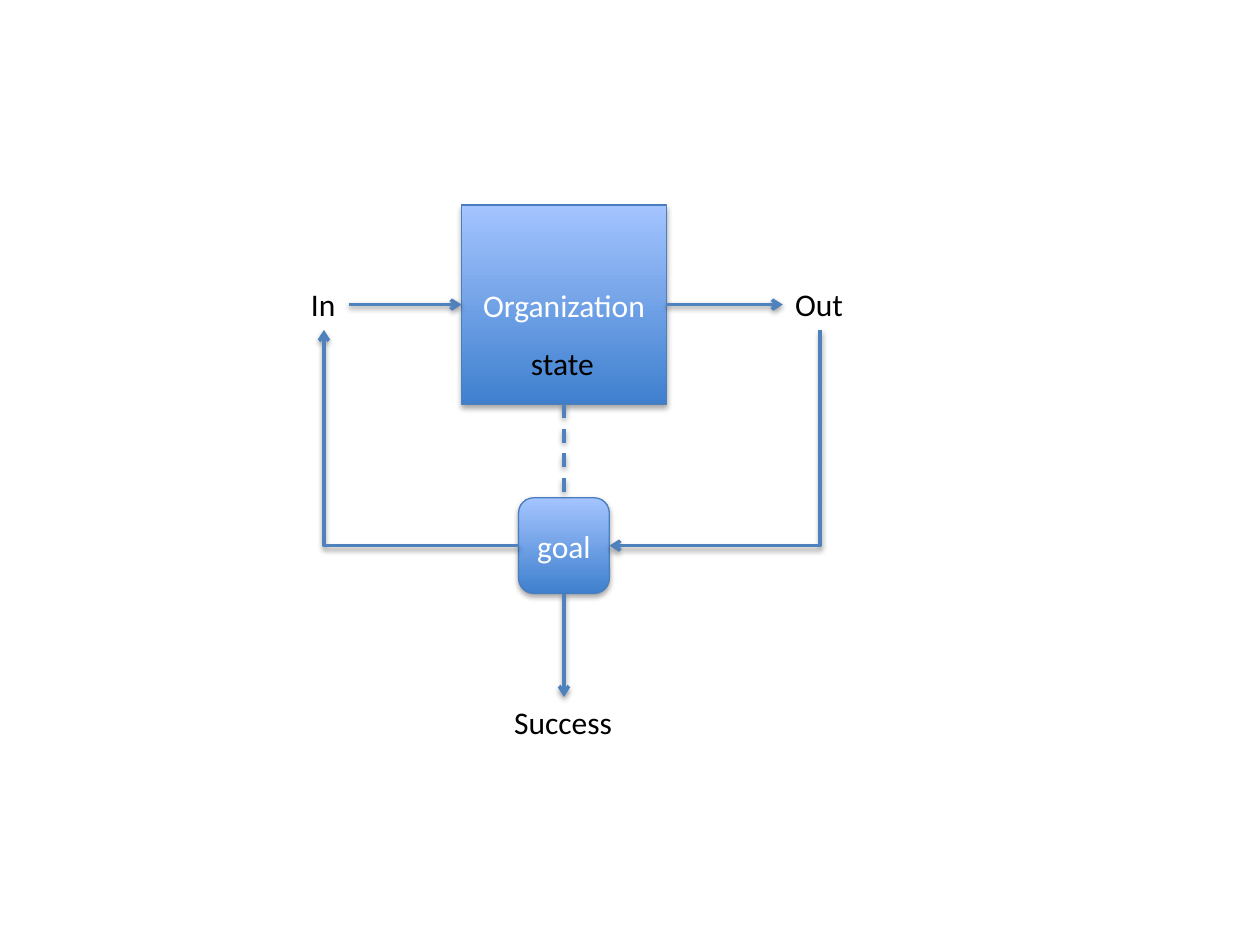
from dataclasses import dataclass
from typing import Optional

from lxml.etree import SubElement
from pptx import Presentation
from pptx.dml.color import RGBColor
from pptx.enum.dml import MSO_LINE
from pptx.enum.shapes import MSO_CONNECTOR, MSO_SHAPE
from pptx.enum.text import MSO_ANCHOR, MSO_AUTO_SIZE, PP_ALIGN
from pptx.oxml.ns import qn
from pptx.util import Cm, Pt


@dataclass(frozen=True)
class Theme:
    """Colours, type and line weights of the slide."""
    font: str = "Calibri"
    size: float = 18
    dark_text: str = "000000"
    light_text: str = "FFFFFF"
    gradient: tuple = ("3F80CE", "A4C4FF")
    outline: str = "4B7EBC"
    outline_width: float = 0.75
    link: str = "4F81BD"
    link_width: float = 2
    shadow: str = "000000"


@dataclass(frozen=True)
class Node:
    """A block or label placed by its centre, in centimetres."""
    text: str
    x: float
    y: float
    width: float
    height: float = 1.02
    shape: Optional[MSO_SHAPE] = None

    @property
    def left(self) -> tuple:
        return self.x - self.width / 2, self.y

    @property
    def right(self) -> tuple:
        return self.x + self.width / 2, self.y

    @property
    def top(self) -> tuple:
        return self.x, self.y - self.height / 2

    @property
    def bottom(self) -> tuple:
        return self.x, self.y + self.height / 2


@dataclass(frozen=True)
class Link:
    """A line between two points; rotation marks a one-corner bend."""
    start: tuple
    end: tuple
    rotation: Optional[int] = None
    dashed: bool = False


THEME = Theme()
AXIS, ROW, GOAL_ROW = 11.37, 6.14, 11.0
ORGANIZATION = Node("Organization", AXIS, ROW, 4.13, 4.01, MSO_SHAPE.RECTANGLE)
GOAL = Node("goal", AXIS, GOAL_ROW, 1.83, 1.93, MSO_SHAPE.ROUNDED_RECTANGLE)
INPUT = Node("In", 6.53, ROW, 1.02)
OUTPUT = Node("Out", 16.53, ROW, 1.5)
STATE = Node("state", AXIS, 7.32, 1.83)
SUCCESS = Node("Success", AXIS, 14.56, 2.51)
NODES = (ORGANIZATION, INPUT, STATE, GOAL, OUTPUT, SUCCESS)
LINKS = (
    Link(INPUT.right, ORGANIZATION.left),
    Link(ORGANIZATION.right, OUTPUT.left),
    Link(OUTPUT.bottom, GOAL.right, rotation=90),
    Link(GOAL.bottom, SUCCESS.top),
    Link(GOAL.left, INPUT.bottom, rotation=180),
    Link(ORGANIZATION.bottom, GOAL.top, dashed=True),
)


def apply(target: object, values: dict) -> None:
    """Set every attribute named in values."""
    for name, value in values.items():
        setattr(target, name, value)


def add_shadow(properties: object, distance: float, opacity: int) -> None:
    """Put a soft downward shadow in the shape properties."""
    effects = properties.find(qn("a:effectLst"))
    if effects is None:
        effects = SubElement(properties, qn("a:effectLst"))
    shadow = SubElement(effects, qn("a:outerShdw"), blurRad=str(Pt(3.15)),
                        dist=str(Pt(distance)), dir="5400000", rotWithShape="0")
    colour = SubElement(shadow, qn("a:srgbClr"), val=THEME.shadow)
    SubElement(colour, qn("a:alpha"), val=str(opacity * 1000))


def write_text(box: object, node: Node) -> None:
    """Write the node's text in its box."""
    frame = box.text_frame
    block = node.shape is not None
    apply(frame, {
        "word_wrap": block,
        "auto_size": MSO_AUTO_SIZE.NONE if block else MSO_AUTO_SIZE.SHAPE_TO_FIT_TEXT,
        "vertical_anchor": MSO_ANCHOR.MIDDLE if block else MSO_ANCHOR.TOP,
    })
    para = frame.paragraphs[0]
    para.alignment = PP_ALIGN.CENTER if block else PP_ALIGN.LEFT
    span = para.add_run()
    span.text = node.text
    apply(span.font, {"name": THEME.font, "size": Pt(THEME.size)})
    span.font.color.rgb = RGBColor.from_string(
        THEME.light_text if block else THEME.dark_text)


def add_node(page: object, node: Node) -> None:
    """Draw a gradient block or a plain label."""
    place = [Cm(length) for length in
             (node.left[0], node.top[1], node.width, node.height)]
    if node.shape is None:
        box = page.shapes.add_textbox(*place)
    else:
        box = page.shapes.add_shape(node.shape, *place)
        box.fill.gradient()
        box.fill.gradient_angle = 90
        for stop, colour in zip(box.fill.gradient_stops, THEME.gradient):
            stop.color.rgb = RGBColor.from_string(colour)
        box.line.color.rgb = RGBColor.from_string(THEME.outline)
        box.line.width = Pt(THEME.outline_width)
        box.shadow.inherit = False
        add_shadow(box._element.spPr, 1.8, 35)
    write_text(box, node)


def add_link(page: object, link: Link) -> None:
    """Draw a straight or bent link, with an arrowhead unless dashed."""
    start, end, kind = link.start, link.end, MSO_CONNECTOR.STRAIGHT
    if link.rotation is not None:
        kind = MSO_CONNECTOR.ELBOW
        middle = [(a + b) / 2 for a, b in zip(start, end)]
        half = [abs(a - b) / 2 for a, b in zip(start, end)]
        if link.rotation == 90:
            half.reverse()
        start = [m - h for m, h in zip(middle, half)]
        end = [m + h for m, h in zip(middle, half)]
    connector = page.shapes.add_connector(kind, *map(Cm, (*start, *end)))
    properties = connector._element.spPr
    if link.rotation is not None:
        properties.find(qn("a:xfrm")).set("rot", str(link.rotation * 60000))
        properties.find(qn("a:prstGeom")).set("prst", "bentConnector2")
    connector.line.color.rgb = RGBColor.from_string(THEME.link)
    connector.line.width = Pt(THEME.link_width)
    if link.dashed:
        connector.line.dash_style = MSO_LINE.DASH
    else:
        SubElement(properties.find(qn("a:ln")), qn("a:tailEnd"), type="arrow")
    add_shadow(properties, 1.6, 38)


def build() -> None:
    """Build and save the feedback diagram."""
    deck = Presentation()
    apply(deck, {"slide_width": Cm(25.4), "slide_height": Cm(19.05)})
    page = deck.slides.add_slide(deck.slide_layouts[6])
    for node in NODES:
        add_node(page, node)
    for link in LINKS:
        add_link(page, link)
    deck.save("out.pptx")


build()
